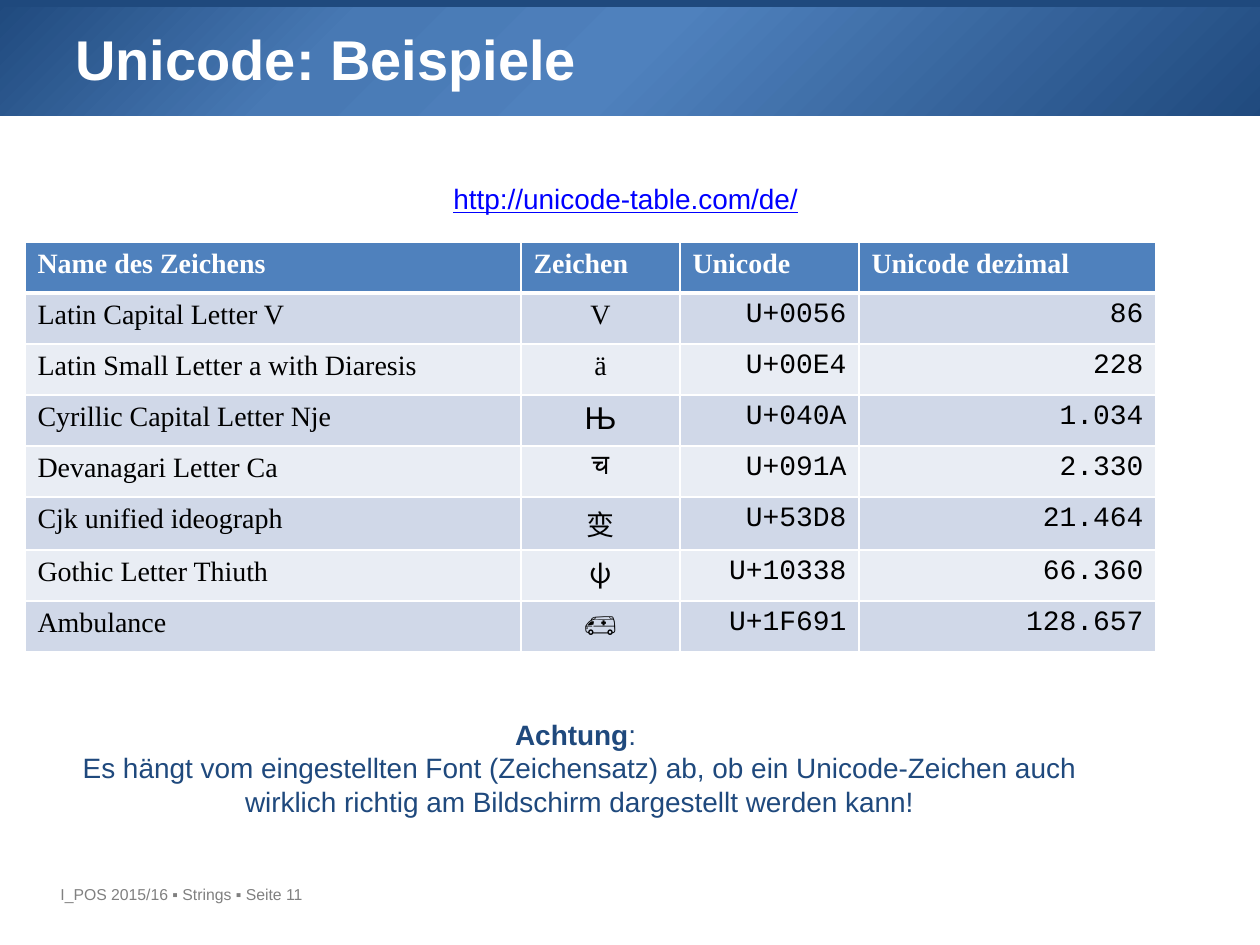
from lxml import etree
from pptx import Presentation
from pptx.dml.color import RGBColor
from pptx.enum.shapes import MSO_SHAPE as Shape
from pptx.enum.text import MSO_AUTO_SIZE as AutoSize, PP_ALIGN as Align
from pptx.oxml.ns import qn
from pptx.util import Emu, Pt

EMU_PER_PX = 914400 / 126
NAVY, BLUE, WHITE, BLACK = "1F497D", "4F81BD", "FFFFFF", "000000"
BANDS = ("D0D8E8", "E9EDF4")
SERIF, SANS, MONO = "Times New Roman", "Arial", "Courier New"

HEADINGS = ("Name des Zeichens", "Zeichen", "Unicode", "Unicode dezimal")
COLUMN_WIDTHS = (496, 159, 179, 297)
ROW_HEIGHT = 51
# name, character, its font, its size, code point, decimal value
CHARACTERS = (
    ("Latin Capital Letter V", "V", SERIF, 16, "U+0056", "86"),
    ("Latin Small Letter a with Diaresis", "ä", SERIF, 16, "U+00E4", "228"),
    ("Cyrillic Capital Letter Nje", "Њ", SANS, 18, "U+040A", "1.034"),
    ("Devanagari Letter Ca", "च", SERIF, 16, "U+091A", "2.330"),
    ("Cjk unified ideograph", "变", SERIF, 16, "U+53D8", "21.464"),
    ("Gothic Letter Thiuth", "𐌸", "Lato", 16, "U+10338", "66.360"),
    ("Ambulance", "🚑", SERIF, 18, "U+1F691", "128.657"),
)


def px(*lengths):
    return [Emu(round(length * EMU_PER_PX)) for length in lengths]


def rgb(color):
    return RGBColor.from_string(color)


def style(para, size, color, name=SANS, bold=False, align=Align.LEFT):
    para.alignment = align
    font = para.font
    font.size, font.name, font.bold = Pt(size), name, bold
    font.color.rgb = rgb(color)


def add_text(page, box, text, wrap=True, grow=False, **look):
    """Add a one-paragraph text box and return its paragraph."""
    frame = page.shapes.add_textbox(*px(*box)).text_frame
    frame.word_wrap = wrap
    frame.auto_size = AutoSize.SHAPE_TO_FIT_TEXT if grow else AutoSize.NONE
    para = frame.paragraphs[0]
    para.text = text
    style(para, **look)
    return para


def add_bar(page, box):
    bar = page.shapes.add_shape(Shape.RECTANGLE, *px(*box))
    bar.shadow.inherit = False
    bar.line.fill.background()
    return bar


def set_gradient(fill, stops, angle):
    fill.gradient()
    fill.gradient_angle = angle
    stop_list = fill.gradient_stops[0]._gs.getparent()
    for old in list(stop_list):
        stop_list.remove(old)
    for percent, color in stops:
        stop = etree.SubElement(stop_list, qn("a:gs"), pos=str(percent * 1000))
        etree.SubElement(stop, qn("a:srgbClr"), val=color)


def add_header(page, box, title):
    left, top, width, height = box
    band = add_bar(page, box)
    set_gradient(band.fill, ((0, NAVY), (27, "4879B4"), (50, BLUE), (100, NAVY)), 315)
    strip = add_bar(page, (left, top - 3, width, 11))
    strip.fill.solid()
    strip.fill.fore_color.rgb = rgb(NAVY)
    add_text(page, (left + 64, top + 19, 1134, 158), title,
             size=32, color=WHITE, bold=True)


def set_borders(cell, top, bottom):
    """Draw white borders; top and bottom are widths in points."""
    properties = cell._tc.get_or_add_tcPr()
    sides = (("L", 1), ("R", 1), ("T", top), ("B", bottom))
    for index, (side, width) in enumerate(sides):
        line = etree.Element(qn(f"a:ln{side}"), w=str(Pt(width)))
        solid = etree.SubElement(line, qn("a:solidFill"))
        etree.SubElement(solid, qn("a:srgbClr"), val=WHITE)
        properties.insert(index, line)


def fill_cell(cell, text, fill, top=1, bottom=1, **look):
    cell.text = text
    style(cell.text_frame.paragraphs[0], **look)
    cell.fill.solid()
    cell.fill.fore_color.rgb = rgb(fill)
    set_borders(cell, top, bottom)


def add_character_table(page, left, top):
    row_count = len(CHARACTERS) + 1
    size = sum(COLUMN_WIDTHS), ROW_HEIGHT * row_count
    table = page.shapes.add_table(row_count, len(HEADINGS), *px(left, top, *size)).table
    table.horz_banding = False
    for column, width in zip(table.columns, px(*COLUMN_WIDTHS)):
        column.width = width
    for row in table.rows:
        row.height = px(ROW_HEIGHT)[0]
    for column, heading in enumerate(HEADINGS):
        fill_cell(table.cell(0, column), heading, BLUE, bottom=3,
                  size=16, color=WHITE, name=SERIF, bold=True)
    for row, (label, glyph, font, points, code, decimal) in enumerate(CHARACTERS, 1):
        entries = (
            (label, SERIF, 16, Align.LEFT),
            (glyph, font, points, Align.CENTER),
            (code, MONO, 16, Align.RIGHT),
            (decimal, MONO, 16, Align.RIGHT),
        )
        for column, (text, name, text_size, align) in enumerate(entries):
            fill_cell(table.cell(row, column), text, BANDS[(row - 1) % 2],
                      top=3 if row == 1 else 1,
                      size=text_size, color=BLACK, name=name, align=align)


def add_warning(page, box):
    para = add_text(page, box, "", grow=True, size=16, color=NAVY, align=Align.CENTER)
    span = para.add_run()
    span.text = "Achtung"
    span.font.bold = True
    para.add_run().text = ": "
    para.add_line_break()
    para.add_run().text = (
        "Es hängt vom eingestellten Font (Zeichensatz) ab, ob ein Unicode-Zeichen "
        "auch wirklich richtig am Bildschirm dargestellt werden kann!")


def main():
    deck = Presentation()
    deck.slide_width, deck.slide_height = px(1260, 945)
    page = deck.slides.add_slide(deck.slide_layouts[6])
    add_header(page, (-1, -1, 1275, 117), "Unicode: Beispiele")
    add_text(page, (48, 879, 294, 32), "I_POS 2015/16 ▪ Strings ▪ Seite 11",
             wrap=False, size=9, color="808080")
    add_character_table(page, 25, 242)
    link = add_text(page, (441, 175, 391, 81), "http://unicode-table.com/de/",
                    wrap=False, size=16, color="0000FF")
    link.font.underline = True
    add_warning(page, (34, 711, 1091, 115))
    deck.save("out.pptx")


if __name__ == "__main__":
    main()
